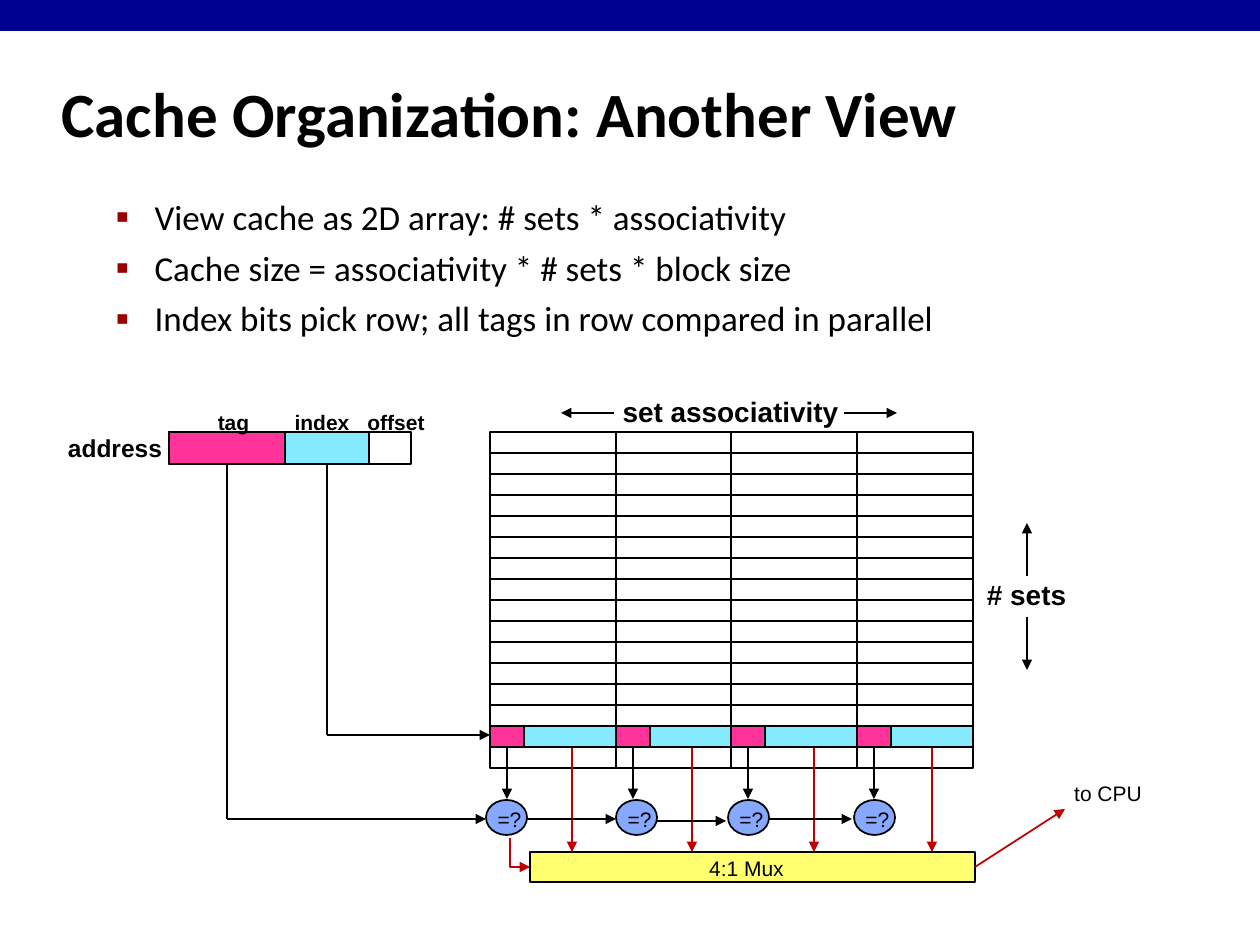
import pptx
import pptx.dml.color
import pptx.enum.shapes
import pptx.enum.text
import pptx.oxml
import pptx.oxml.ns
import pptx.util

SCALE = 914400 / 126  # EMU per px
HUES = {
    "bar": "000090", "ink": "000000", "bullet": "990000", "tag": "FF3399",
    "index": "86EAFE", "mux": "FFFF6F", "match": "86A8FE", "data": "C00000",
}
SHAPE = pptx.enum.shapes.MSO_SHAPE
ALIGN = pptx.enum.text.PP_ALIGN
FIT = pptx.enum.text.MSO_AUTO_SIZE
ANCHOR = pptx.enum.text.MSO_ANCHOR


def px(num):
    return pptx.util.Emu(round(num * SCALE))


def hue(name):
    return pptx.dml.color.RGBColor.from_string(HUES[name])


def add_xml(node, tag, **attrs):
    part = pptx.oxml.parse_xml(f"<a:{tag} {pptx.oxml.ns.nsdecls('a')}/>")
    for key, val in attrs.items():
        part.set(key, val)
    node.append(part)
    return part


def add_run(para, text, size, face, bold=False):
    run = para.add_run()
    run.text = text
    run.font.size = pptx.util.Pt(size)
    run.font.name = face
    run.font.bold = bold
    run.font.color.rgb = hue("ink")


def place(shape, left, top, width, height):
    shape.left, shape.top = px(left), px(top)
    shape.width, shape.height = px(width), px(height)


def add_box(slide, left, top, width, height, fill=None, kind=SHAPE.RECTANGLE, edge=True):
    box = slide.shapes.add_shape(kind, px(left), px(top), px(width), px(height))
    box.shadow.inherit = False
    if fill:
        box.fill.solid()
        box.fill.fore_color.rgb = hue(fill)
    else:
        box.fill.background()
    if edge:
        box.line.color.rgb = hue("ink")
        box.line.width = pptx.util.Pt(1)
    else:
        box.line.fill.background()
    return box


def add_text(slide, text, left, top, width, height, size=12, bold=False, wrap=False):
    box = slide.shapes.add_textbox(px(left), px(top), px(width), px(height))
    frame = box.text_frame
    frame.word_wrap = wrap
    frame.auto_size = FIT.SHAPE_TO_FIT_TEXT
    # Slim side margins keep each label on one line
    frame.margin_left = frame.margin_right = px(4)
    para = frame.paragraphs[0]
    para.alignment = ALIGN.CENTER
    add_run(para, text, size, "Arial", bold)
    return frame


def add_line(slide, x1, y1, x2, y2, color="ink", arrow=True, start=None):
    """Draw a line; start is an optional (shape, site) to join."""
    line = slide.shapes.add_connector(
        pptx.enum.shapes.MSO_CONNECTOR.STRAIGHT, px(x1), px(y1), px(x2), px(y2))
    if start:
        line.begin_connect(*start)
    line.line.color.rgb = hue(color)
    line.line.width = pptx.util.Pt(1)
    if arrow:
        add_xml(line.line._get_or_add_ln(), "tailEnd", type="triangle")
    add_xml(line._element.spPr, "effectLst")
    return line


def add_elbow(slide, x1, y1, x2, y2):
    """Arrow that runs down, then right."""
    wide, high = x2 - x1, y2 - y1
    left, top = (x1 + x2 - high) / 2, (y1 + y2 - wide) / 2
    line = add_line(slide, left, top, left + high, top + wide, "data")
    props = line._element.spPr
    props.xfrm.set("rot", "16200000")
    props.xfrm.set("flipH", "1")
    props.find(pptx.oxml.ns.qn("a:prstGeom")).set("prst", "bentConnector2")


def add_head(slide, text):
    title = slide.shapes.title
    place(title, 49, 60, 1046, 105)
    title.text_frame.vertical_anchor = ANCHOR.MIDDLE
    title.text_frame.auto_size = FIT.NONE
    para = title.text_frame.paragraphs[0]
    para.alignment = ALIGN.LEFT
    add_run(para, text, 36, "Calibri", True)


def add_list(slide, items):
    body = slide.placeholders[1]
    place(body, 40, 189, 1145, 199)
    frame = body.text_frame
    frame.vertical_anchor = ANCHOR.TOP
    frame.auto_size = FIT.NONE
    for num, text in enumerate(items):
        para = frame.add_paragraph() if num else frame.paragraphs[0]
        para.level = 1
        props = para._p.get_or_add_pPr()
        props.set("marL", str(px(102)))
        props.set("indent", str(px(-39)))
        add_xml(add_xml(props, "buClr"), "srgbClr", val=HUES["bullet"])
        add_xml(props, "buSzPct", val="110000")
        add_xml(props, "buFont", typeface="Arial")
        add_xml(props, "buChar", char="▪")
        para.space_before = pptx.util.Pt(5 if num else 0)
        add_run(para, text, 20, "Calibri")


def add_cache(slide, cols, top, row):
    """Grid of sets by ways; returns the tag cells of the picked row."""
    left, right, base = cols[0], cols[-1], top + 16 * row
    pick = top + 14 * row
    add_box(slide, left, pick, right - left, row, "index")
    add_box(slide, left, top, right - left, base - top)
    for num in range(1, 16):
        y = top + num * row
        add_line(slide, left, y, right, y, arrow=False)
    for x in cols[1:-1]:
        add_line(slide, x, top, x, base, arrow=False)
    return [add_box(slide, x, pick, 34, row, "tag") for x in cols[:-1]]


def add_fields(slide):
    """Address word with the paths of its tag and index."""
    add_box(slide, 169, 432, 242, 32)
    tag = add_box(slide, 169, 432, 116, 32, "tag")
    index = add_box(slide, 285, 432, 84, 32, "index")
    add_text(slide, "address", 55, 427, 120, 43, 14, True)
    for text, left, width in (("tag", 205, 57), ("index", 282, 80), ("offset", 355, 82)):
        add_text(slide, text, left, 403, width, 38, 12, True)
    for field, x, y, end in ((index, 327, 735, 490), (tag, 227, 819, 486)):
        add_line(slide, x, 464, x, y, arrow=False, start=(field, 2))
        add_line(slide, x, y, end, y)


def main():
    deck = pptx.Presentation()
    deck.slide_width, deck.slide_height = px(1260), px(945)
    slide = deck.slides.add_slide(deck.slide_layouts[1])

    # Heading and list
    add_box(slide, 0, 0, 1260, 31, "bar", edge=False)
    add_head(slide, "Cache Organization: Another View")
    add_list(slide, [
        "View cache as 2D array: # sets * associativity",
        "Cache size = associativity * # sets * block size",
        "Index bits pick row; all tags in row compared in parallel",
    ])

    # Cache array, address and mux
    mux = add_box(slide, 530, 852, 445, 30, "mux")
    tags = add_cache(slide, [490, 616, 731, 857, 973], 432, 21)
    add_fields(slide)

    # Size labels
    add_text(slide, "set associativity", 610, 388, 241, 47, 16, True)
    add_line(slide, 844, 413, 897, 413)
    add_line(slide, 614, 413, 561, 413)
    add_text(slide, "# sets", 974, 571, 105, 47, 16, True)
    add_line(slide, 1027, 576, 1027, 523)
    add_line(slide, 1027, 617, 1027, 670)

    # Tag checks and data paths
    for tag, cell, left, data in zip(
            tags, (490, 616, 731, 857), (486, 616, 728, 854), (572, 692, 814, 932)):
        add_box(slide, left, 800, 41, 35, "match", SHAPE.OVAL)
        add_text(slide, "=?", left - 1, 800, 49, 38)
        add_line(slide, cell + 17, 747, cell + 17, 799, start=(tag, 2))
        add_line(slide, data, 748, data, 852, "data")
    for x1, x2, y in ((527, 616, 819), (656, 726, 821), (769, 852, 819)):
        add_line(slide, x1, y, x2, y)

    # Mux label, select and output
    frame = add_text(slide, "4:1 Mux", 596, 856, 301, 25, wrap=True)
    frame.margin_left = frame.margin_right = frame.margin_top = frame.margin_bottom = 0
    add_elbow(slide, 510, 838, 530, 867)
    add_text(slide, "to CPU", 1062, 774, 92, 38)
    add_line(slide, 975, 867, 1065, 809, "data", start=(mux, 3))

    deck.save("out.pptx")


if __name__ == "__main__":
    main()
